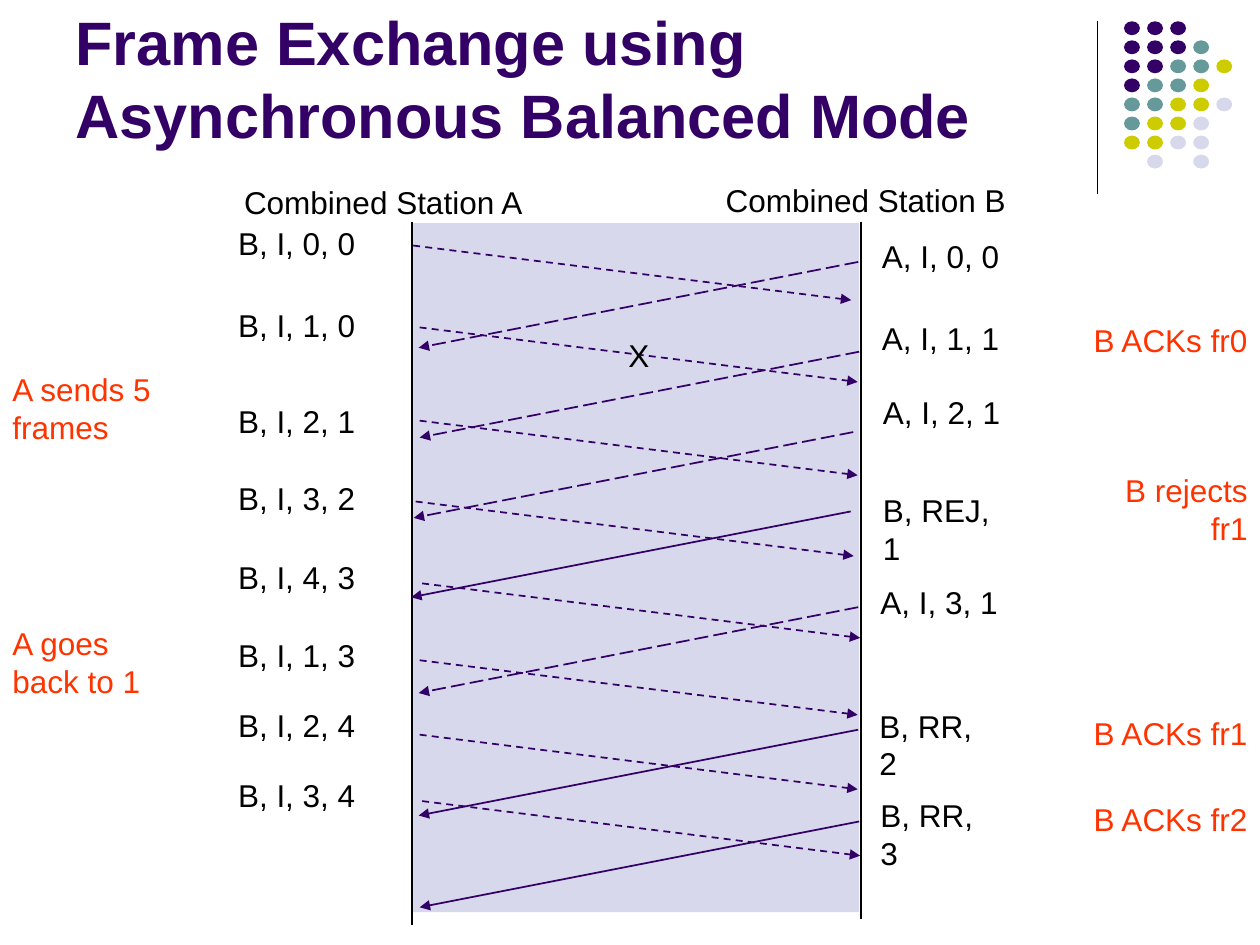
from lxml import etree
from pptx import Presentation
from pptx.dml.color import RGBColor
from pptx.enum.dml import MSO_LINE
from pptx.enum.shapes import MSO_CONNECTOR, MSO_SHAPE
from pptx.enum.text import MSO_ANCHOR, PP_ALIGN
from pptx.oxml.ns import qn
from pptx.util import Cm, Pt

STRAIGHT = MSO_CONNECTOR.STRAIGHT
OVAL, RECTANGLE = MSO_SHAPE.OVAL, MSO_SHAPE.RECTANGLE
SHORT_DASH, LONG_DASH = MSO_LINE.DASH, MSO_LINE.LONG_DASH
LEFT, RIGHT = PP_ALIGN.LEFT, PP_ALIGN.RIGHT
TOP, BOTTOM = MSO_ANCHOR.TOP, MSO_ANCHOR.BOTTOM

BLACK = RGBColor(0x00, 0x00, 0x00)
PURPLE = RGBColor(0x33, 0x00, 0x66)
TEAL = RGBColor(0x66, 0x99, 0x99)
OLIVE = RGBColor(0xCC, 0xCC, 0x00)
LAVENDER = RGBColor(0xD8, 0xD8, 0xEC)
RED = RGBColor(0xFF, 0x33, 0x00)

TITLE = "Frame Exchange using Asynchronous Balanced Mode"

STATIONS = [("Combined Station A", 4.67, 3.56), ("Combined Station B", 14.38, 3.53)]

# text, label top, arrow start x, arrow start y
FRAMES_FROM_A = [
    ("B, I, 0, 0", 4.39, 8.33, 4.95),
    ("B, I, 1, 0", 6.05, 8.46, 6.6),
    ("B, I, 2, 1", 7.98, 8.46, 8.48),
    ("B, I, 3, 2", 9.53, 8.38, 10.11),
    ("B, I, 4, 3", 11.13, 8.51, 11.76),
    ("B, I, 1, 3", 12.7, 8.46, 13.31),
    ("B, I, 2, 4", 14.1, 8.46, 14.81),
    ("B, I, 3, 4", 15.52, 8.51, 16.15),
]
FRAMES_FROM_B = [
    ("A, I, 0, 0", 17.53, 4.65, 17.3, 5.28),
    ("A, I, 1, 1", 17.53, 6.3, 17.32, 7.09),
    ("A, I, 2, 1", 17.55, 7.8, 17.2, 8.71),
    ("B, REJ, 1", 17.55, 9.78, 17.15, 10.31),
    ("A, I, 3, 1", 17.5, 11.63, 17.3, 12.24),
    ("B, RR, 2", 17.48, 14.12, 17.3, 14.71),
    ("B, RR, 3", 17.5, 15.93, 17.32, 16.56),
]
NOTES_A = [("A sends 5 frames", 7.34, 1.78), ("A goes back to 1", 12.45, 1.78)]
NOTES_B = [
    ("B ACKs fr0", 6.35, 1.02),
    ("B rejects fr1", 9.37, 1.78),
    ("B ACKs fr1", 14.27, 1.02),
    ("B ACKs fr2", 16.0, 1.02),
]

DOT_ROWS = ["PPP", "PPPT", "PPTTO", "PTTO", "TTOOL", "TOOL", "OOLL", " L L"]
DOT_COLORS = {"P": PURPLE, "T": TEAL, "O": OLIVE, "L": LAVENDER}
DOT_LEFT, DOT_TOP, DOT_STEP_X, DOT_STEP_Y = 22.66, 0.43, 0.465, 0.384

LABEL_A_LEFT = 4.55
RUN_TO_B = (8.83, 1.1)
RUN_TO_A = (-8.86, 1.73)

prs = Presentation()
prs.slide_width, prs.slide_height = Cm(25.4), Cm(19.05)
slide = prs.slides.add_slide(prs.slide_layouts[6])
shapes = slide.shapes


def add_filled(kind, left, top, width, height, color):
    shape = shapes.add_shape(kind, Cm(left), Cm(top), Cm(width), Cm(height))
    shape.shadow.inherit = False
    shape.fill.solid()
    shape.fill.fore_color.rgb = color
    shape.line.fill.background()


def add_line(x1, y1, x2, y2, color=BLACK, width=1, dash=None, arrow=False):
    line = shapes.add_connector(STRAIGHT, Cm(x1), Cm(y1), Cm(x2), Cm(y2))
    line.line.color.rgb = color
    line.line.width = Pt(width)
    if dash is not None:
        line.line.dash_style = dash
    properties = line._element.spPr
    if arrow:
        etree.SubElement(properties.find(qn("a:ln")), qn("a:tailEnd"), type="triangle")
    etree.SubElement(properties, qn("a:effectLst"))


def add_arrow(x, y, run, dash):
    add_line(x, y, x + run[0], y + run[1], PURPLE, dash=dash, arrow=True)


def add_text(text, left, top, width, height=1.02, color=BLACK, size=18,
             bold=False, wrap=False, align=LEFT, anchor=TOP):
    frame = shapes.add_textbox(Cm(left), Cm(top), Cm(width), Cm(height)).text_frame
    frame.word_wrap = wrap
    frame.vertical_anchor = anchor
    frame.text = text
    paragraph = frame.paragraphs[0]
    paragraph.alignment = align
    font = paragraph.runs[0].font
    font.name, font.size, font.bold = "Arial", Pt(size), bold
    font.color.rgb = color


add_line(22.12, 0.43, 22.12, 3.91, width=0.75)
for row, dots in enumerate(DOT_ROWS):
    for column, dot in enumerate(dots):
        if dot in DOT_COLORS:
            add_filled(OVAL, DOT_LEFT + column * DOT_STEP_X,
                       DOT_TOP + row * DOT_STEP_Y, 0.32, 0.28, DOT_COLORS[dot])

add_filled(RECTANGLE, 8.32, 4.5, 9, 13.89, LAVENDER)
add_line(8.31, 4.47, 8.31, 18.64)
add_line(17.35, 4.47, 17.35, 18.52)

for station, left, top in STATIONS:
    add_text(station, left, top, 6.15)
for label, top, x, y in FRAMES_FROM_A:
    add_text(label, LABEL_A_LEFT, top, 2.87)
    add_arrow(x, y, RUN_TO_B, SHORT_DASH)
for label, left, top, x, y in FRAMES_FROM_B:
    add_text(label, left, top, 3.18 if "REJ" in label else 2.87)
    add_arrow(x, y, RUN_TO_A, LONG_DASH if ", I," in label else None)
add_text("X", 12.42, 6.65, 0.94)

add_text(TITLE, 1.27, 0.33, 20.96, 2.84, PURPLE, 35, True, True, anchor=BOTTOM)
for notes, left, align in ((NOTES_A, 0, LEFT), (NOTES_B, 21.74, RIGHT)):
    for note, top, height in notes:
        add_text(note, left, top, 3.66, height, RED, wrap=True, align=align)

prs.save("out.pptx")
